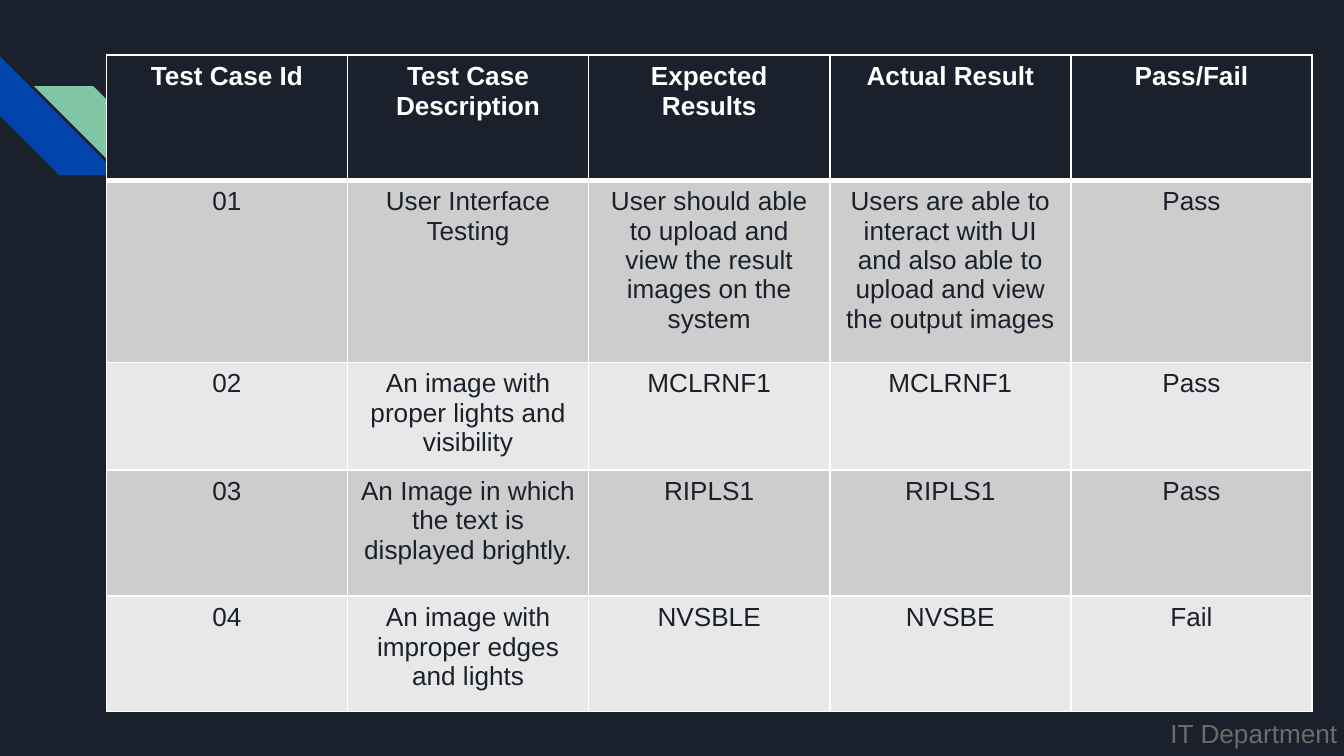
from lxml.etree import SubElement
from pptx import Presentation
from pptx.dml.color import RGBColor
from pptx.enum.shapes import MSO_SHAPE
from pptx.enum.text import MSO_AUTO_SIZE, PP_ALIGN
from pptx.oxml.ns import qn
from pptx.util import Pt

NAVY = RGBColor(0x1B, 0x21, 0x2C)
BLUE = RGBColor(0x01, 0x45, 0xAC)
GREEN = RGBColor(0x82, 0xC7, 0xA5)
WHITE = RGBColor(0xFF, 0xFF, 0xFF)
GREY = RGBColor(0x6C, 0x6C, 0x6C)
DARK_BAND = RGBColor(0xCD, 0xCD, 0xCD)
LIGHT_BAND = RGBColor(0xE8, 0xE8, 0xE8)

TEST_CASES = [
    ["Test Case Id", "Test Case Description", "Expected Results", "Actual Result", "Pass/Fail"],
    ["01", "User Interface\nTesting",
     "User should able to upload and view the result images on the system",
     "Users are able to interact with UI and also able to upload and view the output images",
     "Pass"],
    ["02", "An image with proper lights and visibility", "MCLRNF1", "MCLRNF1", "Pass"],
    ["03", "An Image in which the text is displayed brightly.", "RIPLS1", "RIPLS1", "Pass"],
    ["04", "An image with improper edges and lights", "NVSBLE", "NVSBE", "Fail"],
]
ROW_HEIGHTS = [67, 97.6, 52, 67.6, 61.8]
COLUMN_WIDTH = 129.2


def style_text(frame, color, bold=False, align=PP_ALIGN.LEFT):
    for paragraph in frame.paragraphs:
        paragraph.alignment = align
        for run in paragraph.runs:
            run.font.name = "Arial"
            run.font.size = Pt(14)
            run.font.bold = bold
            run.font.color.rgb = color


def add_stripe(slide, left, top, rotation, color):
    stripe = slide.shapes.add_shape(
        MSO_SHAPE.DIAGONAL_STRIPE, Pt(left), Pt(top), Pt(63.6), Pt(63.6))
    stripe.rotation = rotation
    stripe.shadow.inherit = False
    stripe.fill.solid()
    stripe.fill.fore_color.rgb = color
    stripe.line.fill.background()


def set_borders(cell, top, bottom):
    properties = cell._tc.get_or_add_tcPr()
    for side, width in (("L", 1), ("R", 1), ("T", top), ("B", bottom)):
        border = SubElement(properties, qn(f"a:ln{side}"), w=str(Pt(width)))
        fill = SubElement(border, qn("a:solidFill"))
        SubElement(fill, qn("a:srgbClr"), val=str(WHITE))


def add_test_table(slide):
    table = slide.shapes.add_table(
        len(TEST_CASES), len(TEST_CASES[0]), Pt(57), Pt(29.6),
        Pt(COLUMN_WIDTH * len(TEST_CASES[0])), Pt(sum(ROW_HEIGHTS))).table
    for column in table.columns:
        column.width = Pt(COLUMN_WIDTH)
    for index, (values, height) in enumerate(zip(TEST_CASES, ROW_HEIGHTS)):
        table.rows[index].height = Pt(height)
        header = index == 0
        band = NAVY if header else DARK_BAND if index % 2 else LIGHT_BAND
        for cell, value in zip(table.rows[index].cells, values):
            cell.text_frame.text = value
            style_text(cell.text_frame, WHITE if header else NAVY, header, PP_ALIGN.CENTER)
            set_borders(cell, 3 if index == 1 else 1, 3 if header else 1)
            cell.fill.solid()
            cell.fill.fore_color.rgb = band


def add_department(slide):
    frame = slide.shapes.add_textbox(Pt(620), Pt(381), Pt(108.8), Pt(24.4)).text_frame
    frame.word_wrap = True
    frame.auto_size = MSO_AUTO_SIZE.SHAPE_TO_FIT_TEXT
    frame.text = "IT Department"
    style_text(frame, GREY)


def main():
    """Build the test case slide and save it."""
    presentation = Presentation()
    presentation.slide_width = Pt(720)
    presentation.slide_height = Pt(405)
    slide = presentation.slides.add_slide(presentation.slide_layouts[6])
    slide.background.fill.solid()
    slide.background.fill.fore_color.rgb = NAVY
    add_stripe(slide, 0, 30.2, 270, BLUE)
    add_stripe(slide, 18.2, 46.2, 90, GREEN)
    add_department(slide)
    add_test_table(slide)
    presentation.save("out.pptx")


if __name__ == "__main__":
    main()
